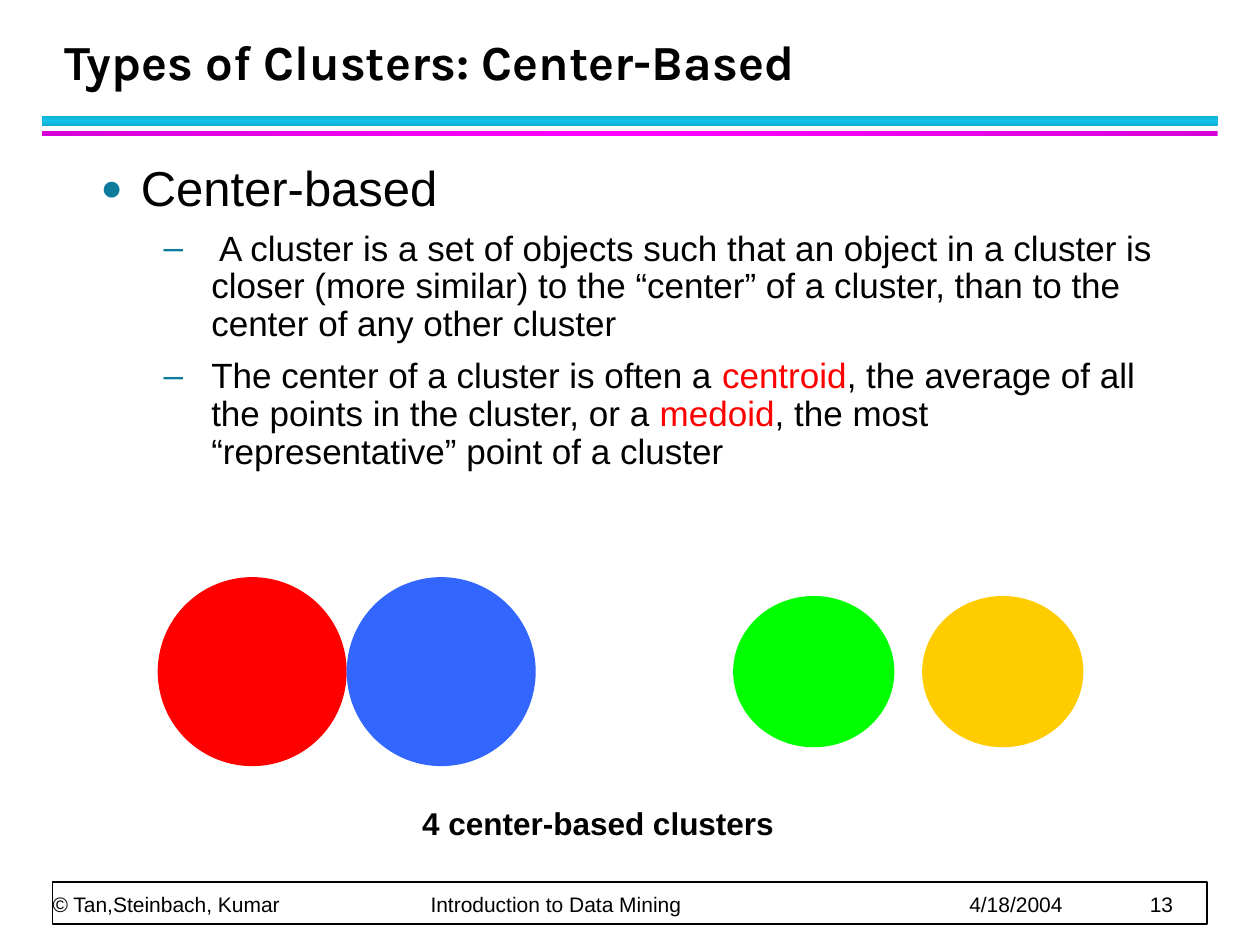
from copy import deepcopy

from lxml import etree
from pptx import Presentation
from pptx.dml.color import RGBColor
from pptx.enum.shapes import MSO_SHAPE
from pptx.enum.text import MSO_ANCHOR
from pptx.oxml.ns import qn
from pptx.util import Cm, Pt

RECT, OVAL = MSO_SHAPE.RECTANGLE, MSO_SHAPE.OVAL
TOP, BOTTOM = MSO_ANCHOR.TOP, MSO_ANCHOR.BOTTOM
HUES = {
    "ink": "000000", "paper": "FFFFFF", "bullet": "0C7B9C",
    "cyan": "12C2E9", "teal": "10AFD2", "pink": "FF00FF", "plum": "D800D8",
    "red": "FF0000", "blue": "3366FF", "green": "00FF00", "gold": "FFCC00",
}


def hue(name):
    """Return the named colour."""
    return RGBColor.from_string(HUES[name])


class Page:
    """Holds the text style and the current slide."""

    font = "Arial"
    ink = "ink"

    def __init__(self, deck):
        self.slide = deck.slides.add_slide(deck.slide_layouts[6])

    def shape(self, kind, box, fill=None, line=None):
        """Add a preset shape with a plain fill."""
        item = self.slide.shapes.add_shape(kind, *map(Cm, box))
        item.shadow.inherit = False
        if fill:
            item.fill.solid()
            item.fill.fore_color.rgb = hue(fill)
        if line:
            item.line.color.rgb = hue(line)
            item.line.width = Pt(1)
        else:
            item.line.fill.background()
        return item

    def band(self, box, edge, core, angle):
        """Add a bar that shades from edge to core and back."""
        fill = self.shape(RECT, box).fill
        fill.gradient()
        fill.gradient_angle = angle
        first = fill.gradient_stops[0]._gs
        first.addnext(deepcopy(first))
        for stop, spot, name in zip(fill.gradient_stops, (0, 0.5, 1), (edge, core, edge)):
            stop.position = spot
            stop.color.rgb = hue(name)

    def text(self, box, anchor=TOP, inset=True):
        """Add an empty wrapping text box and return its frame."""
        frame = self.slide.shapes.add_textbox(*map(Cm, box)).text_frame
        frame.word_wrap = True
        frame.vertical_anchor = anchor
        if not inset:
            frame.margin_left = frame.margin_right = 0
            frame.margin_top = frame.margin_bottom = 0
        return frame

    def style(self, para, size, bold=False, font=None, space=1.0):
        """Format every run of a paragraph."""
        para.line_spacing = space
        for run in para.runs:
            run.font.name = font or self.font
            run.font.size = Pt(size)
            run.font.bold = bold
            run.font.color.rgb = hue(self.ink)

    def label(self, box, text, size, anchor=TOP, inset=True, **look):
        """Add a one-paragraph text box and return the paragraph."""
        frame = self.text(box, anchor, inset)
        frame.text = text
        self.style(frame.paragraphs[0], size, **look)
        return frame.paragraphs[0]

    def tabs(self, para, stops):
        """Set left tab stops."""
        tray = etree.SubElement(para._p.get_or_add_pPr(), qn("a:tabLst"))
        for stop in stops:
            etree.SubElement(tray, qn("a:tab"), pos=str(Cm(stop)), algn="l")

    def bullet(self, para, sign, left, hang, scale=100):
        """Give a paragraph a coloured hanging bullet."""
        props = para._p.get_or_add_pPr()
        props.set("marL", str(Cm(left)))
        props.set("indent", str(-Cm(hang)))
        tint = etree.SubElement(props, qn("a:buClr"))
        etree.SubElement(tint, qn("a:srgbClr"), val=HUES["bullet"])
        etree.SubElement(props, qn("a:buSzPct"), val=str(scale * 1000))
        etree.SubElement(props, qn("a:buFont"), typeface=self.font)
        etree.SubElement(props, qn("a:buChar"), char=sign)

    def point(self, frame, parts):
        """Add a second-level point whose odd parts are red."""
        para = frame.add_paragraph()
        para.level = 1
        para.space_before = Pt(8)
        for part in parts:
            para.add_run().text = part
        self.style(para, 20, space=0.9)
        for run in para.runs[1::2]:
            run.font.color.rgb = hue("red")
        self.bullet(para, "–", 2.23, 0.96)


def main():
    """Build the slide."""
    deck = Presentation()
    deck.slide_width, deck.slide_height = Cm(25.4), Cm(19.05)
    page = Page(deck)

    page.band((0.85, 2.33, 23.7, 0.21), "teal", "cyan", 90)
    page.band((0.85, 2.64, 23.7, 0.11), "plum", "pink", 0)
    page.shape(RECT, (1.06, 17.78, 23.28, 0.85), "paper", "ink")
    foot = page.label(
        (1.06, 17.78, 23.24, 0.71),
        "© Tan,Steinbach, Kumar\tIntroduction to Data Mining\t4/18/2004\t13",
        12, BOTTOM, False, space=1.67)
    page.tabs(foot, (7.62, 18.48, 22.12))

    page.label((1.06, 0.43, 23.01, 1.52), "Types of Clusters: Center-Based",
               28, BOTTOM, bold=True, font="Karla", space=1.29)

    body = page.text((1.78, 3.18, 22.23, 14.2))
    body.text = "Center-based"
    head = body.paragraphs[0]
    page.style(head, 28, space=0.9)
    page.bullet(head, "●", 0.81, 0.81, 75)
    page.point(body, [
        " A cluster is a set of objects such that an object in a cluster is "
        "closer (more similar) to the “center” of a cluster, than to the "
        "center of any other cluster"])
    page.point(body, [
        "The center of a cluster is often a ", "centroid",
        ", the average of all the points in the cluster, or a ", "medoid",
        ", the most “representative” point of a cluster"])

    mid, step = 13.54, 3.81
    pairs = ((3.18, 3.81, 3.81, ("red", "blue")),
             (14.78, 3.25, 3.05, ("green", "gold")))
    for left, wide, high, names in pairs:
        for i, name in enumerate(names):
            page.shape(OVAL, (left + i * step, mid - high / 2, wide, high), name)

    page.label((8.26, 16.08, 8.89, 1.02), "4 center-based clusters", 18, bold=True)
    deck.save("out.pptx")


if __name__ == "__main__":
    main()
